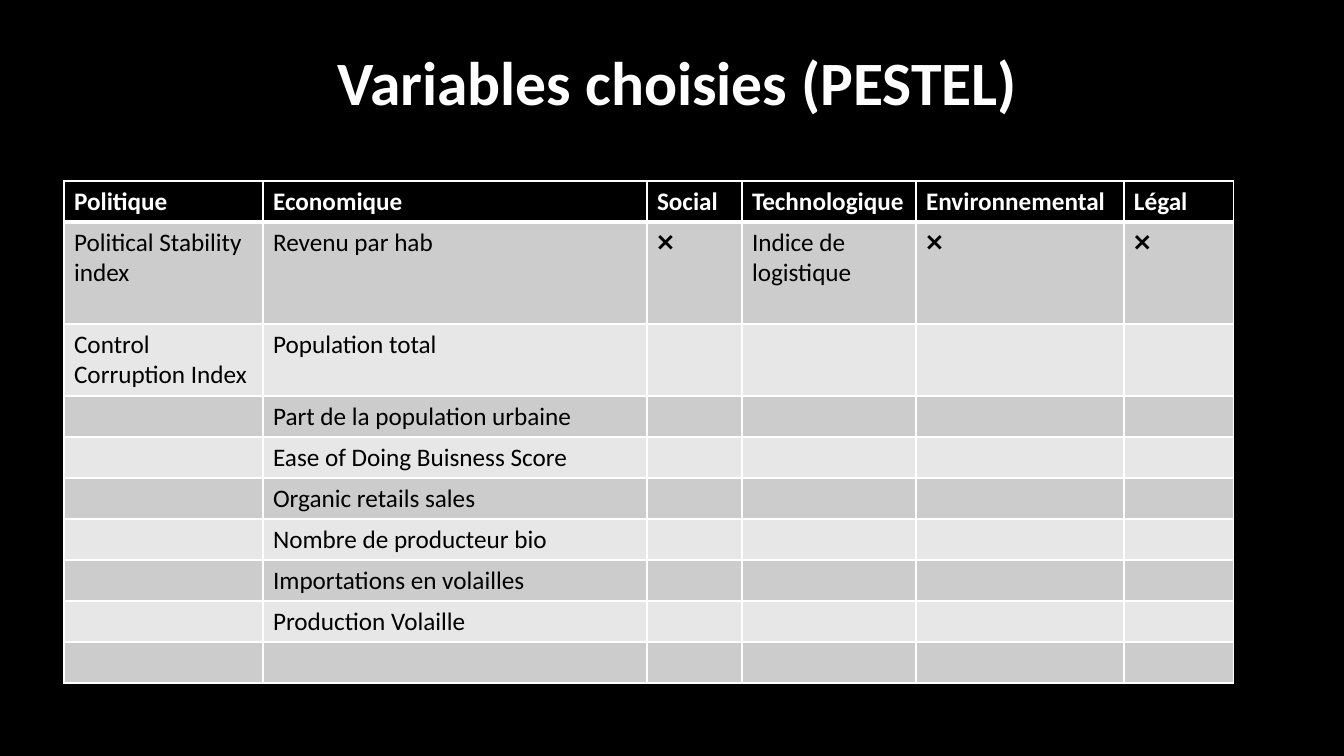
from pptx import Presentation
from pptx.dml.color import RGBColor
from pptx.enum.text import MSO_ANCHOR, MSO_AUTO_SIZE, PP_ALIGN
from pptx.oxml.ns import qn
from pptx.util import Emu, Pt
from lxml import etree

LEFT, MIDDLE, NO_FIT = PP_ALIGN.LEFT, MSO_ANCHOR.MIDDLE, MSO_AUTO_SIZE.NONE

TITLE = "Variables choisies (PESTEL)"
HEADERS = ["Politique", "Economique", "Social", "Technologique", "Environnemental", "Légal"]
VARIABLES = {
    "Politique": ["Political Stability index", "Control Corruption Index"],
    "Economique": [
        "Revenu par hab",
        "Population total",
        "Part de la population urbaine",
        "Ease of Doing Buisness Score",
        "Organic retails sales",
        "Nombre de producteur bio",
        "Importations en volailles",
        "Production Volaille",
    ],
    "Social": ["❌"],
    "Technologique": ["Indice de logistique"],
    "Environnemental": ["❌"],
    "Légal": ["❌"],
}

COLORS = {"black": "000000", "white": "FFFFFF", "odd": "CCCCCC", "even": "E7E7E7"}
FONT = "Calibri"
PX = 914400 / 100.8
SLIDE_SIZE = (1344, 756)
TITLE_BOX = (327, 33, 744, 105)
TABLE_AT = (64, 181)
COLUMN_WIDTHS = [199, 384, 95, 174, 208, 110]
ROW_HEIGHTS = [41, 102, 72] + [41] * 7


def px(length):
    return Emu(round(length * PX))


def color(name):
    return RGBColor.from_string(COLORS[name])


def add_span(para, text, size, color_name, bold):
    span = para.add_run()
    span.text = text
    span.font.name = FONT
    span.font.size = Pt(size)
    span.font.bold = bold
    span.font.color.rgb = color(color_name)


def add_border(cell, side, width):
    """Draw a white line on one side (L, R, T or B), width in points."""
    line = etree.SubElement(cell._tc.get_or_add_tcPr(), qn(f"a:ln{side}"), w=str(Pt(width)))
    fill = etree.SubElement(line, qn("a:solidFill"))
    etree.SubElement(fill, qn("a:srgbClr"), val=COLORS["white"])


def add_title(page):
    title = page.shapes.title
    title.left, title.top, title.width, title.height = map(px, TITLE_BOX)
    frame = title.text_frame
    frame.auto_size = NO_FIT
    frame.word_wrap = True
    frame.vertical_anchor = MIDDLE
    para = frame.paragraphs[0]
    para.alignment = LEFT
    para.line_spacing = 0.9
    add_span(para, TITLE, 44, "white", True)


def add_variables_table(page):
    frame = page.shapes.add_table(
        len(ROW_HEIGHTS), len(HEADERS), *map(px, TABLE_AT),
        px(sum(COLUMN_WIDTHS)), px(sum(ROW_HEIGHTS)),
    )
    table = frame.table
    for column, width in zip(table.columns, COLUMN_WIDTHS):
        column.width = px(width)
    for row, height in zip(table.rows, ROW_HEIGHTS):
        row.height = px(height)

    for c, header in enumerate(HEADERS):
        texts = [header] + VARIABLES[header]
        for r in range(len(ROW_HEIGHTS)):
            is_header = r == 0
            cell = table.cell(r, c)
            widths = {"L": 1, "R": 1, "T": 3 if r == 1 else 1, "B": 3 if is_header else 1}
            for side, width in widths.items():
                add_border(cell, side, width)
            cell.fill.solid()
            band = "odd" if r % 2 else "even"
            cell.fill.fore_color.rgb = color("black" if is_header else band)
            if r < len(texts):
                ink = "white" if is_header else "black"
                add_span(cell.text_frame.paragraphs[0], texts[r], 18, ink, is_header)


def main():
    deck = Presentation()
    deck.slide_width, deck.slide_height = map(px, SLIDE_SIZE)
    page = deck.slides.add_slide(deck.slide_layouts[5])
    page.background.fill.solid()
    page.background.fill.fore_color.rgb = color("black")
    add_title(page)
    add_variables_table(page)
    deck.save("out.pptx")


if __name__ == "__main__":
    main()
